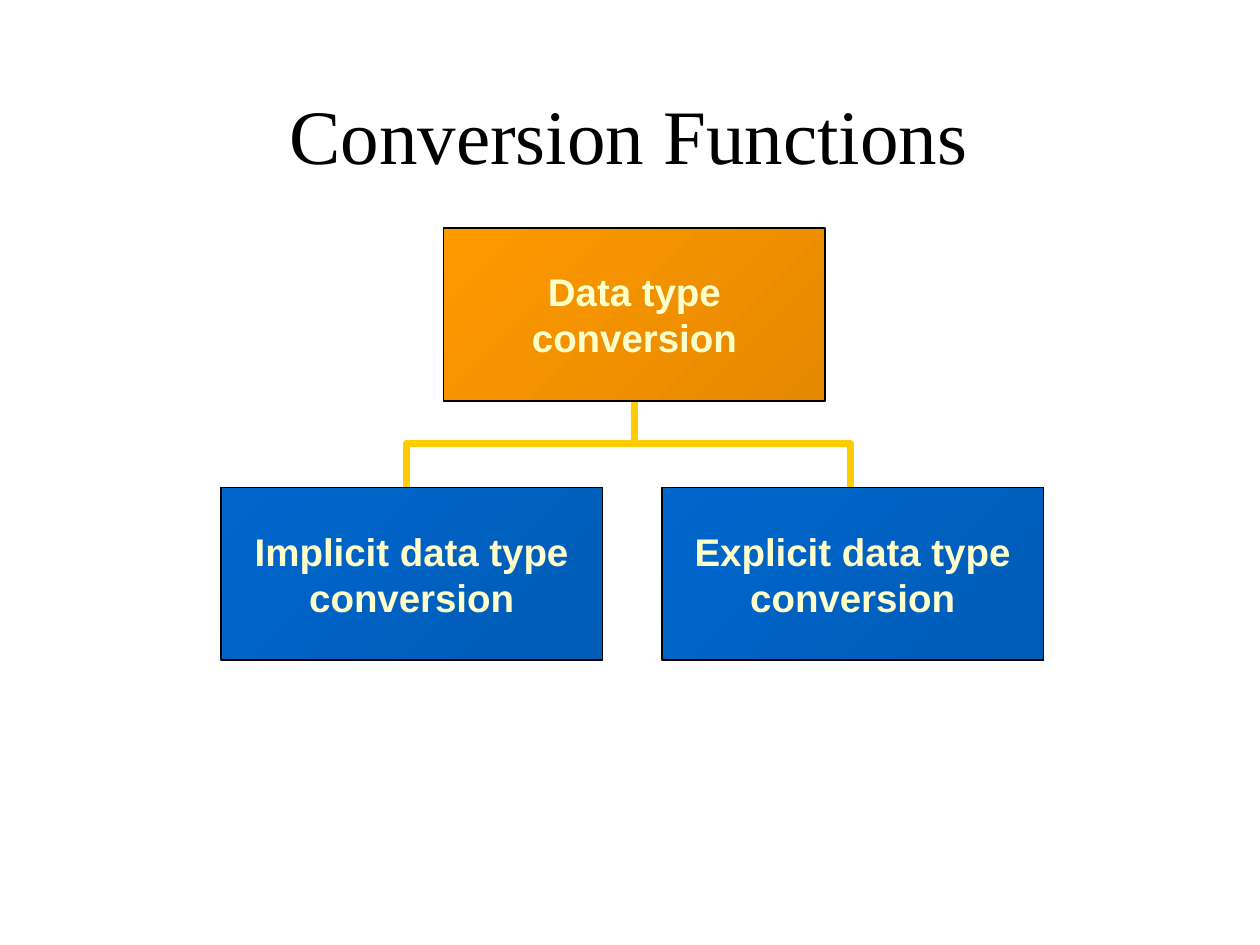
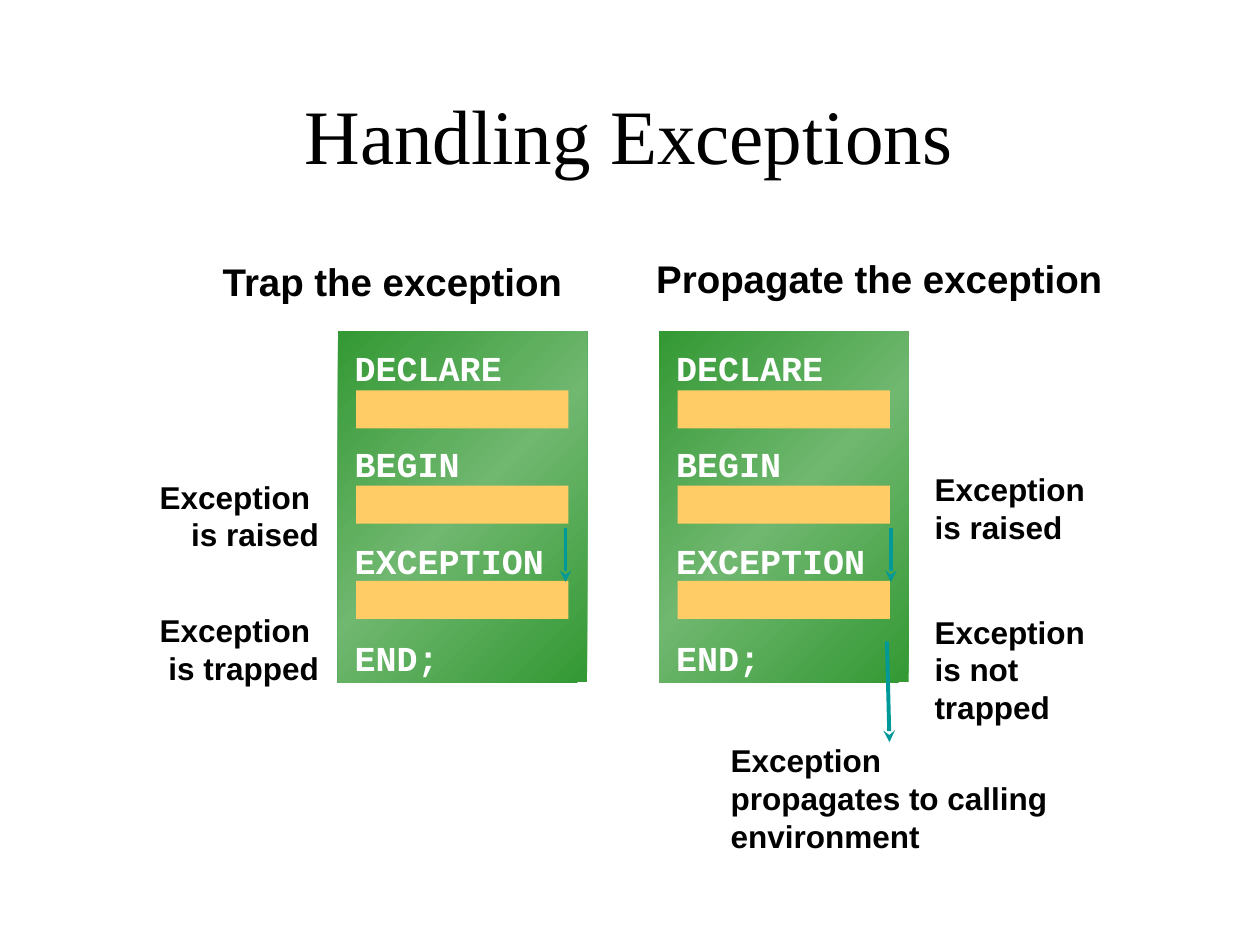
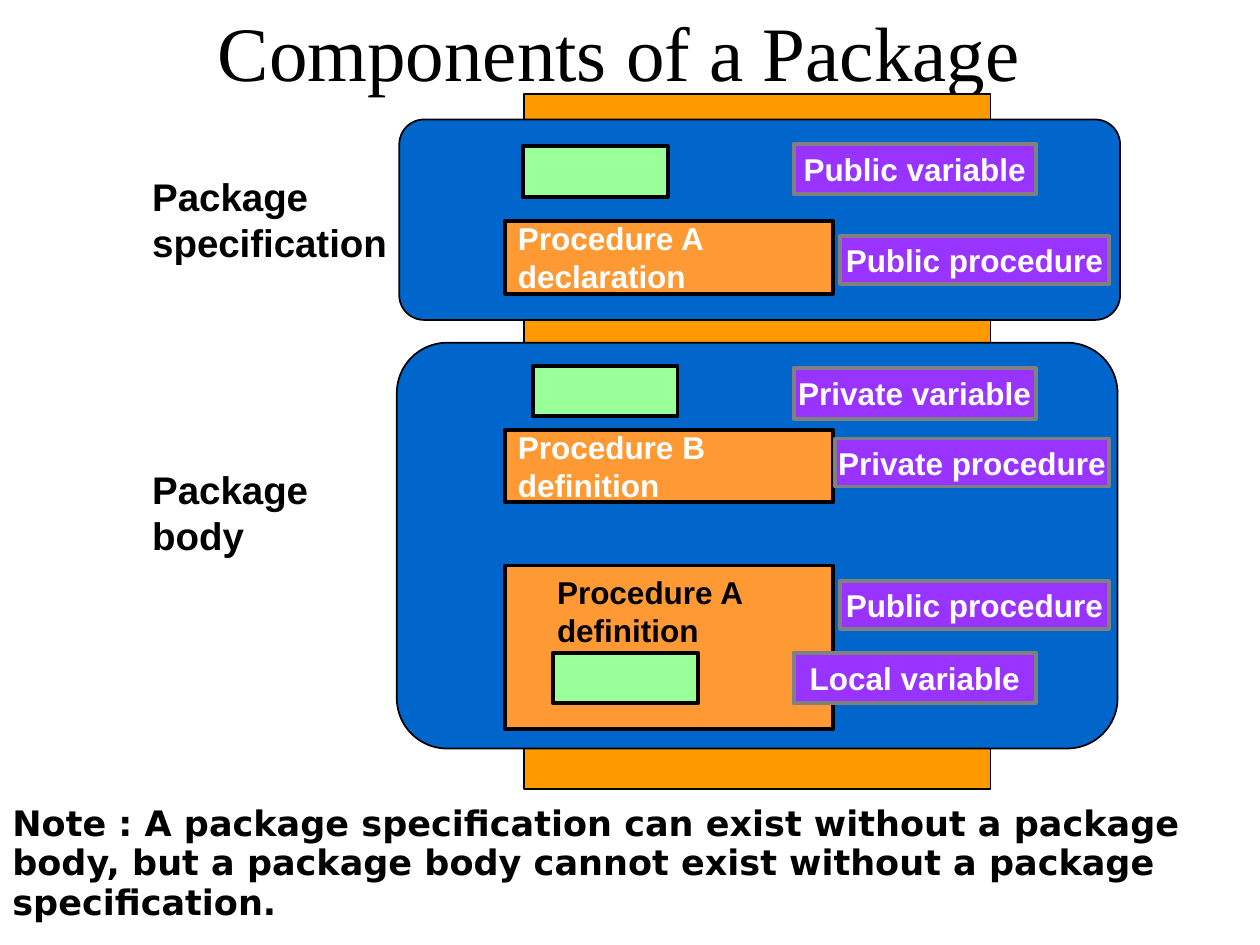
import pptx
import pptx.dml.color
import pptx.enum.dml
import pptx.enum.shapes
import pptx.enum.text
import pptx.oxml.ns
import pptx.util
import lxml.etree

Cm = pptx.util.Cm
Pt = pptx.util.Pt
qn = pptx.oxml.ns.qn
SHAPE = pptx.enum.shapes.MSO_SHAPE
ALIGN = pptx.enum.text.PP_ALIGN
ANCHOR = pptx.enum.text.MSO_ANCHOR

COLORS = {
    "black": "000000", "white": "FFFFFF", "cream": "FFFFCC",
    "yellow": "FFCC00", "orange": "FF9900", "orange_dark": "E58900",
    "blue": "0066CC", "blue_dark": "005CB7",
    "green": "339933", "green_light": "70B770", "sand": "FFCC66",
    "teal": "009999", "procedure": "FF9933", "variable": "99FF99",
    "purple": "9933FF", "gray": "808080",
}
TITLE_ONLY = 5
THIN, THICK, TREE_LINE = 1, 2.25, 4
CODE_WORDS = ("DECLARE", "BEGIN", "EXCEPTION", "END;")


def rgb(name):
    return pptx.dml.color.RGBColor.from_string(COLORS[name])


def write_text(tf, text, size=18, font="Arial", color="black", bold=True,
               align=ALIGN.LEFT, anchor=ANCHOR.TOP, wrap=True,
               spacing=None, inset=(0.25, 0.13)):
    tf.word_wrap = wrap
    tf.auto_size = pptx.enum.text.MSO_AUTO_SIZE.NONE
    tf.vertical_anchor = anchor
    tf.margin_left = tf.margin_right = Cm(inset[0])
    tf.margin_top = tf.margin_bottom = Cm(inset[1])
    tf.text = text
    for p in tf.paragraphs:
        p.alignment = align
        p.line_spacing = spacing
        for r in p.runs:
            r.font.size = Pt(size)
            r.font.name = font
            r.font.bold = bold
            r.font.color.rgb = rgb(color)


def add_text(s, text, x, y, w, h, **fmt):
    box = s.shapes.add_textbox(Cm(x), Cm(y), Cm(w), Cm(h))
    write_text(box.text_frame, text, **fmt)


def add_titled_slide(prs, title, y=1.47):
    s = prs.slides.add_slide(prs.slide_layouts[TITLE_ONLY])
    sp = s.shapes.title
    sp.left, sp.top, sp.width, sp.height = Cm(2.39), Cm(y), Cm(20.57), Cm(2.44)
    write_text(sp.text_frame, title, size=44, font="Times New Roman",
               bold=False, align=ALIGN.CENTER, anchor=ANCHOR.MIDDLE)
    return s


def set_fill(fill, colors):
    if len(colors) == 1:
        fill.solid()
        fill.fore_color.rgb = rgb(colors[0])
        return
    fill.gradient()
    fill.gradient_angle = 315


def set_stops(sp, colors):
    stops = sp._element.spPr.find(".//" + qn("a:gsLst"))
    for stop in list(stops):
        stops.remove(stop)
    for i, color in enumerate(colors):
        stop = lxml.etree.SubElement(stops, qn("a:gs"))
        stop.set("pos", str(100000 * i // (len(colors) - 1)))
        lxml.etree.SubElement(stop, qn("a:srgbClr")).set("val", COLORS[color])


def add_block(s, x, y, w, h, *colors, line=None, width=THIN,
              kind=SHAPE.RECTANGLE, text=None, **fmt):
    sp = s.shapes.add_shape(kind, Cm(x), Cm(y), Cm(w), Cm(h))
    sp.shadow.inherit = False
    set_fill(sp.fill, colors)
    if len(colors) > 1:
        set_stops(sp, colors)
    if line:
        sp.line.color.rgb = rgb(line)
        sp.line.width = Pt(width)
    else:
        sp.line.fill.background()
    if text:
        write_text(sp.text_frame, text, anchor=ANCHOR.MIDDLE, **fmt)
    return sp


def add_line(s, x1, y1, x2, y2, color, width, arrow=False):
    line = s.shapes.add_connector(pptx.enum.shapes.MSO_CONNECTOR.STRAIGHT,
                                  Cm(x1), Cm(y1), Cm(x2), Cm(y2))
    line.line.color.rgb = rgb(color)
    line.line.width = Pt(width)
    if arrow:
        ln = line.line._get_or_add_ln()
        lxml.etree.SubElement(ln, qn("a:tailEnd")).set("type", "stealth")
    lxml.etree.SubElement(line._element.spPr, qn("a:effectLst"))


def add_bracket(s, points, color, width):
    start, *rest = [(Cm(x), Cm(y)) for x, y in points]
    builder = s.shapes.build_freeform(*start)
    builder.add_line_segments(rest, close=False)
    sp = builder.convert_to_shape()
    sp.shadow.inherit = False
    sp.fill.background()
    sp.line.color.rgb = rgb(color)
    sp.line.width = Pt(width)


def add_code_block(s, x):
    add_block(s, x, 6.68, 5.03, 7.08, "green", "green_light", "green")
    for i in range(3):
        add_block(s, x + 0.37, 7.87 + 1.92 * i, 4.28, 0.77, "sand")
    for i, word in enumerate(CODE_WORDS):
        add_text(s, word, x + 0.14, 6.88 + 1.95 * i,
                 0.42 + 0.42 * len(word), 1.04, size=20, font="Courier New",
                 color="white", wrap=False, inset=(0.2, 0.1))


def add_variable(s, x, y):
    add_block(s, x, y, 2.92, 1.02, "variable", line="black", width=THICK)


def add_procedure(s, y, h=1.47, text=None):
    add_block(s, 10.19, y, 6.6, h, "procedure", line="black", width=THICK,
              text=text, color="white")


def add_tag(s, text, x, y, w, h):
    add_block(s, x, y, w, h, "purple", line="gray", width=THICK, text=text,
              color="white", align=ALIGN.CENTER, wrap=False)


def build_conversion(prs):
    s = add_titled_slide(prs, "Conversion Functions")
    add_line(s, 12.8, 8.94, 12.8, 7.32, "yellow", TREE_LINE)
    add_bracket(s, [(8.2, 10.54), (8.2, 8.94), (17.15, 8.94), (17.15, 10.26)],
                "yellow", TREE_LINE)
    for kind, x, y, colors in (
            ("Implicit data type", 4.45, 9.83, ("blue", "blue_dark")),
            ("Explicit data type", 13.34, 9.83, ("blue", "blue_dark")),
            ("Data type", 8.94, 4.6, ("orange", "orange_dark"))):
        add_block(s, x, y, 7.7, 3.48, *colors, line="black",
                  text=kind + "\nconversion", size=22, color="cream",
                  align=ALIGN.CENTER, wrap=False)


def build_exceptions(prs):
    s = add_titled_slide(prs, "Handling Exceptions")
    add_text(s, "Trap the exception", 4.24, 5.08, 7.62, 1.19, size=22)
    add_text(s, "Propagate the exception", 12.98, 5.08, 10.08, 1.14,
             size=22, spacing=0.95)
    for x in (6.81, 13.29):
        add_code_block(s, x)
    for text, y in (("Exception \nis raised", 9.5),
                    ("Exception \nis trapped", 12.19)):
        add_text(s, text, 2.49, y, 4.19, 1.78, align=ALIGN.RIGHT)
    for text, x, y, w, h in (
            ("Exception\nis raised", 18.59, 9.35, 4.19, 1.78),
            ("Exception is not trapped", 18.59, 12.22, 4.19, 2.54),
            ("Exception propagates to calling environment",
             14.48, 14.81, 6.96, 2.54)):
        add_text(s, text, x, y, w, h)
    for ends in ((11.4, 10.64, 11.4, 11.73), (17.96, 10.64, 17.96, 11.73),
                 (17.88, 12.93, 17.93, 14.96)):
        add_line(s, *ends, "teal", THICK, arrow=True)


def build_package(prs):
    s = add_titled_slide(prs, "Components of a Package ", y=-0.2)
    add_block(s, 10.57, 1.9, 9.4, 14, "orange", line="black")
    for x, y, h in ((8.05, 2.41, 4.04), (8, 6.91, 8.18)):
        panel = add_block(s, x, y, 14.53, h, "blue", line="black",
                          kind=SHAPE.ROUNDED_RECTANGLE)
        panel.adjustments[0] = 0.124
    add_procedure(s, 4.45, text="Procedure A\ndeclaration")
    add_procedure(s, 8.66, text="Procedure B\ndefinition")
    add_procedure(s, 11.4, h=3.3)
    add_text(s, "Procedure A\ndefinition", 11, 11.43, 4.24, 1.75,
             wrap=False, inset=(0.23, 0.13))
    for x, y in ((10.54, 2.95), (10.74, 7.37), (11.15, 13.16)):
        add_variable(s, x, y)
    for scope, y in (("Public", 2.9), ("Private", 7.42), ("Local", 13.16)):
        add_tag(s, scope + " variable", 16, y, 4.88, 1.02)
    for scope, x, y in (("Public", 16.94, 4.75), ("Private", 16.84, 8.84),
                        ("Public", 16.94, 11.71)):
        add_tag(s, scope + " procedure", x, y, 22.35 - x, 0.97)
    for part, y, w in (("specification", 3.35, 5.26), ("body", 9.27, 3.66)):
        add_text(s, "Package\n" + part, 2.82, y, w, 2.11, size=22, wrap=False)
    add_text(s, "Note : A package specification can exist without a package "
             "body, but a package body cannot exist without a package "
             "specification.", 0, 16.08, 25.4, 1.88, size=20,
             font="DejaVu Sans", spacing=0.95)


def main():
    prs = pptx.Presentation()
    prs.slide_width, prs.slide_height = Cm(25.4), Cm(19.05)
    build_conversion(prs)
    build_exceptions(prs)
    build_package(prs)
    prs.save("out.pptx")


if __name__ == "__main__":
    main()
